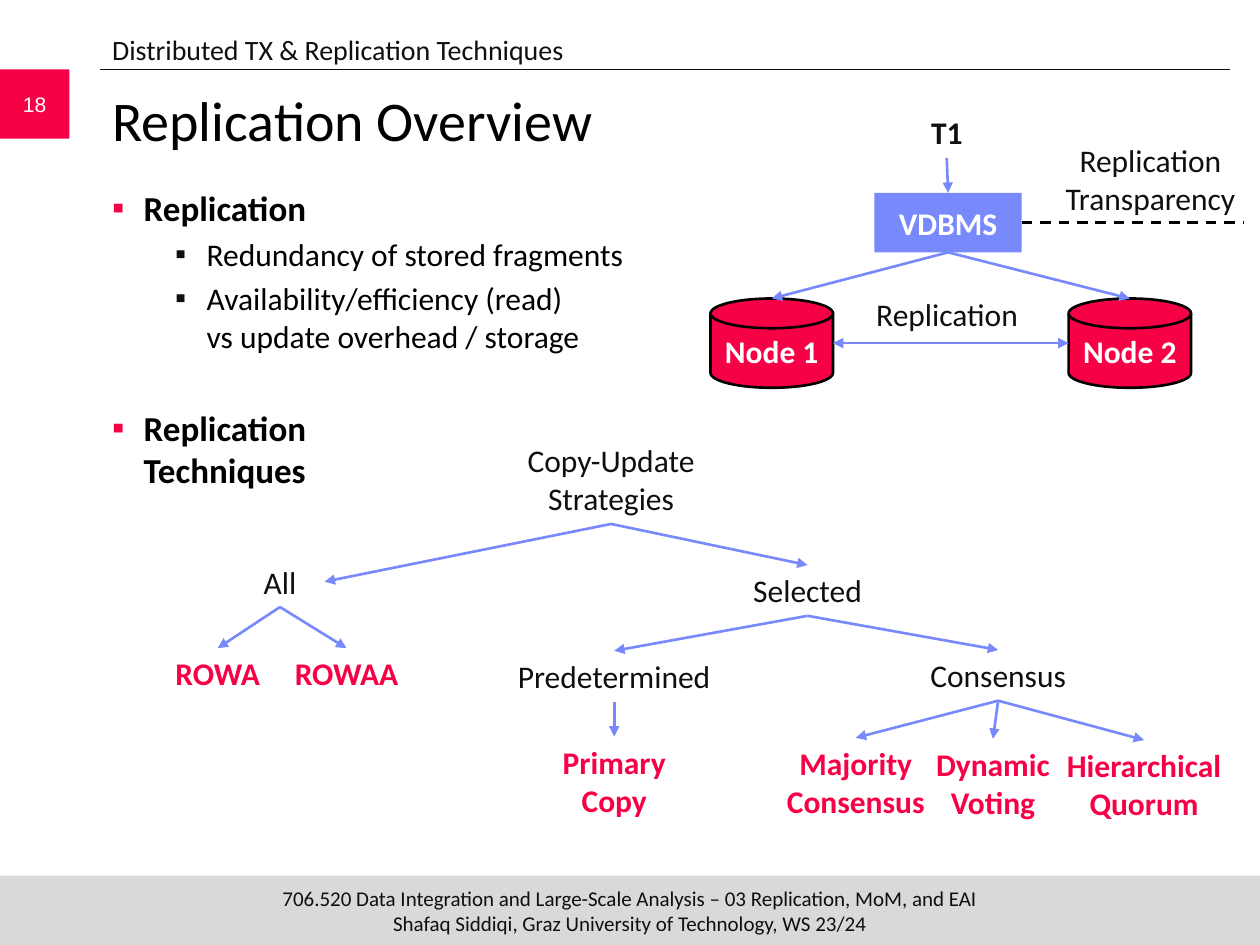
from dataclasses import dataclass
from lxml.etree import SubElement as Sub
from pptx import Presentation
from pptx.dml.color import RGBColor as RGB
from pptx.enum.dml import MSO_LINE as Dash
from pptx.enum.shapes import MSO_CONNECTOR as Conn, MSO_SHAPE as Shape
from pptx.enum.text import MSO_ANCHOR as Anchor, MSO_AUTO_SIZE as Fit, PP_ALIGN as Align
from pptx.oxml.ns import qn
from pptx.util import Pt


@dataclass(frozen=True)
class Theme:
    ink: str = "0F0F0F"
    black: str = "000000"
    white: str = "FFFFFF"
    red: str = "F70146"
    blue: str = "7889FB"
    gray: str = "D9D9D9"
    face: str = "Calibri"
    plain: str = "Arial"
    head: int = 32
    item: int = 20
    base: int = 18
    top: int = 16
    foot: int = 12
    thick: float = 1.5
    thin: float = 0.5


T = Theme()


def place(shape, box):
    shape.left, shape.top, shape.width, shape.height = map(Pt, box)


def style(para, size, color, bold=False, face=T.face):
    font = para.font
    font.name, font.size, font.bold = face, Pt(size), bold
    font.color.rgb = RGB.from_string(color)


def write(shape, text, size=T.base, color=T.ink, bold=False, face=T.face):
    frame = shape.text_frame
    frame.word_wrap = True
    frame.margin_left = frame.margin_right = 0
    para = frame.paragraphs[0]
    para.text = text
    para.alignment = Align.CENTER
    style(para, size, color, bold, face)


def label(slide, box, text, color=T.ink, bold=False):
    shape = slide.shapes.add_textbox(*map(Pt, box))
    write(shape, text, color=color, bold=bold)
    return shape


def block(slide, kind, box, fill, edge=None):
    shape = slide.shapes.add_shape(kind, *map(Pt, box))
    shape.shadow.inherit = False
    shape.fill.solid()
    shape.fill.fore_color.rgb = RGB.from_string(fill)
    if edge:
        shape.line.color.rgb = RGB.from_string(edge)
        shape.line.width = Pt(T.thick)
    else:
        shape.line.fill.background()
    shape.text_frame.vertical_anchor = Anchor.MIDDLE
    return shape


def line(slide, start, end, color=T.blue, width=T.thick, tips=("tailEnd",)):
    link = slide.shapes.add_connector(Conn.STRAIGHT, *start, *end)
    link.line.color.rgb = RGB.from_string(color)
    link.line.width = Pt(width)
    for tip in tips:
        Sub(link.line._get_or_add_ln(), qn(f"a:{tip}"), type="triangle")
    Sub(link._element.spPr, qn("a:effectLst"))
    return link


def spot(shape, across, down):
    return (int(shape.left + shape.width * across),
            int(shape.top + shape.height * down))


def top(shape):
    return spot(shape, 0.5, 0)


def base(shape):
    return spot(shape, 0.5, 1)


def right(shape):
    return spot(shape, 1, 0.5)


def left(shape):
    return spot(shape, 0, 0.5)


def frame(slide):
    foot = block(slide, Shape.RECTANGLE, (0, 500.4, 720, 39.6), T.gray)
    foot.text_frame.margin_top = foot.text_frame.margin_bottom = 0
    write(foot, "706.520 Data Integration and Large-Scale Analysis – 03 Replication, MoM, and EAI\v"
          "Shafaq Siddiqi, Graz University of Technology, WS 23/24", T.foot)
    line(slide, (Pt(56.9), Pt(39.6)), (Pt(702.7), Pt(39.6)), T.ink, T.thin, ())
    page = block(slide, Shape.RECTANGLE, (0, 39.6, 39.6, 39.6), T.red)
    write(page, "18", T.foot, T.white, face=T.plain)


def heads(slide):
    rows = ((slide.shapes.title, (56.9, 45.4, 645, 60), "Replication Overview", T.head, T.black),
            (slide.placeholders[2], (56.9, 15.1, 648, 26),
             "Distributed TX & Replication Techniques", T.top, T.ink))
    for shape, box, text, size, color in rows:
        place(shape, box)
        area = shape.text_frame
        area.auto_size, area.vertical_anchor = Fit.NONE, Anchor.TOP
        para = area.paragraphs[0]
        para.text, para.alignment = text, Align.LEFT
        para.space_before = Pt(0)
        props = para._p.get_or_add_pPr()
        props.set("marL", "0")
        props.set("indent", "0")
        Sub(props, qn("a:buNone"))
        style(para, size, color)


def points(slide, box):
    body = slide.placeholders[1]
    place(body, box)
    area = body.text_frame
    area.auto_size, area.vertical_anchor = Fit.NONE, Anchor.TOP
    items = ((0, "Replication", 0),
             (1, "Redundancy of stored fragments", 3.6),
             (1, "Availability/efficiency (read)\vvs update overhead / storage", 3.6),
             (0, "Replication \vTechniques", 29.6))
    for rank, (level, text, gap) in enumerate(items):
        para = area.add_paragraph() if rank else area.paragraphs[0]
        para.text, para.level, para.space_before = text, level, Pt(gap)
        props = para._p.get_or_add_pPr()
        props.set("marL", str(Pt(54 if level else 18)))
        props.set("indent", str(Pt(-18)))
        tint = Sub(props, qn("a:buClr"))
        Sub(tint, qn("a:srgbClr"), val=T.ink if level else T.red)
        Sub(props, qn("a:buFont"), typeface=T.plain)
        Sub(props, qn("a:buChar"), char="▪")
        style(para, T.base if level else T.item, T.black, not level)


def nodes(slide, x, y):
    hub = block(slide, Shape.RECTANGLE, (x + 93.7, y + 49, 84.2, 34), T.blue)
    write(hub, "VDBMS", color=T.white, bold=True)
    disks = []
    for num, dx in enumerate((0, 204.6), 1):
        disk = block(slide, Shape.FLOWCHART_MAGNETIC_DISK,
                     (x + dx, y + 109.4, 70, 51), T.red, T.black)
        write(disk, f"Node {num}", color=T.white, bold=True)
        disks.append(disk)
    task = label(slide, (x + 119, y, 32, 29), "T1", bold=True)
    label(slide, (x + 194.4, y + 16, 114, 51), "Replication Transparency")
    label(slide, (x + 51, y + 104, 168.5, 29), "Replication")
    start = right(hub)
    rule = line(slide, start, (Pt(x + 304.6), start[1]), T.black, tips=())
    rule.line.dash_style = Dash.DASH
    line(slide, base(task), top(hub))
    for disk in disks:
        line(slide, base(hub), top(disk))
    line(slide, right(disks[0]), left(disks[1]), tips=("headEnd", "tailEnd"))


def tree(slide, x, y):
    rows = (("Copy-Update Strategies", None, 251.2, 0, 127),
            ("All", "Copy-Update Strategies", 62, 69.5, 51),
            ("Selected", "Copy-Update Strategies", 363.5, 74.5, 106),
            ("Predetermined", "Selected", 253, 123.5, 119),
            ("Consensus", "Selected", 472.4, 123, 119),
            ("ROWA", "All", 26.4, 122, 51),
            ("ROWAA", "All", 100, 122, 63),
            ("Primary Copy", "Predetermined", 253, 172.5, 68),
            ("Majority Consensus", "Consensus", 391, 173.2, 85),
            ("Dynamic Voting", "Consensus", 469.4, 173.8, 85),
            ("Hierarchical Quorum", "Consensus", 555.8, 174.5, 102))
    inner = {row[1] for row in rows}
    made = {}
    for text, above, mid, down, wide in rows:
        leaf = text not in inner
        tall = 51 if " " in text else 29
        made[text] = label(slide, (x + mid - wide / 2, y + down, wide, tall),
                           text, T.red if leaf else T.ink, leaf)
        if above:
            end = right if text == "All" else top
            line(slide, base(made[above]), end(made[text]))


def main():
    deck = Presentation()
    deck.slide_width, deck.slide_height = Pt(720), Pt(540)
    slide = deck.slides.add_slide(deck.slide_layouts[3])
    frame(slide)
    heads(slide)
    points(slide, (56.9, 103, 645, 389))
    nodes(slide, 406, 61.2)
    tree(slide, 98, 248.4)
    deck.save("out.pptx")


if __name__ == "__main__":
    main()
